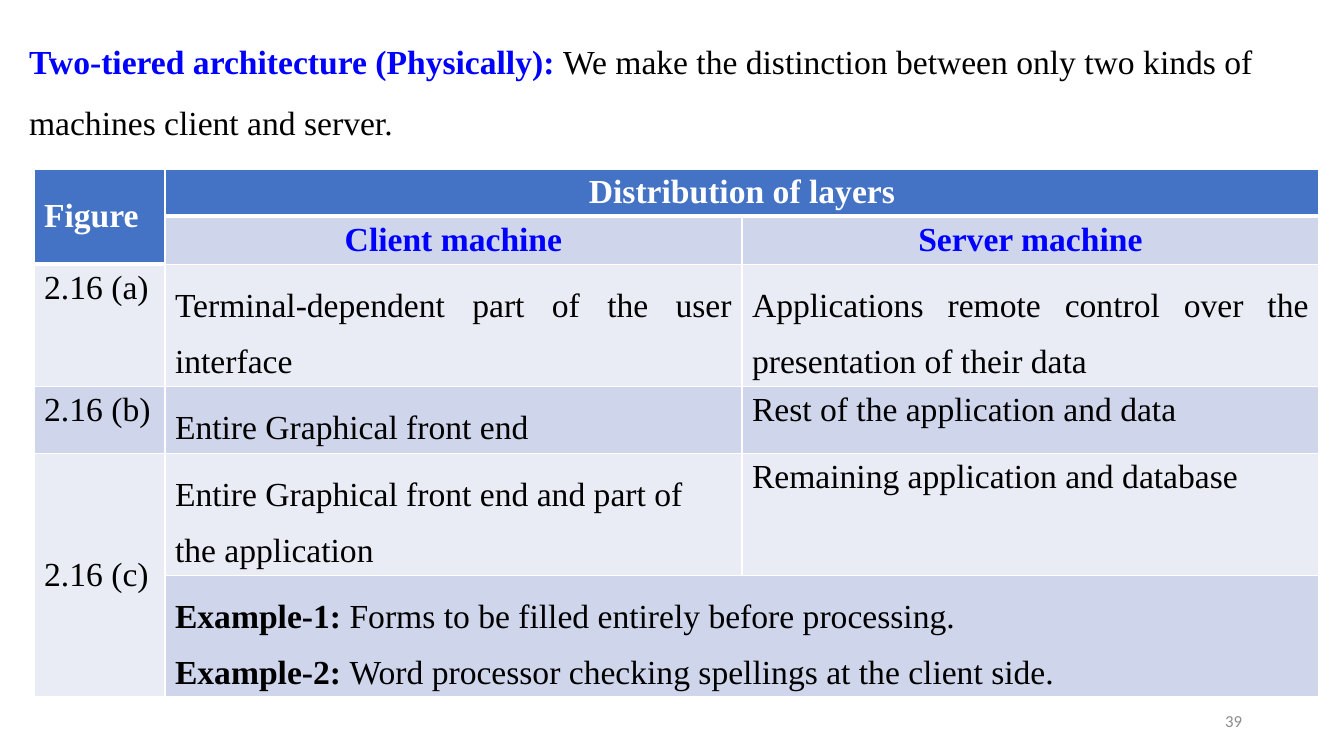
import lxml.etree
import pptx
import pptx.dml.color
import pptx.enum.text
import pptx.oxml.ns
import pptx.util

EMU_PER_PX = 914400 / 100.8
ALIGN = pptx.enum.text.PP_ALIGN
ANCHOR = pptx.enum.text.MSO_ANCHOR
BLACK, WHITE, BLUE = "000000", "FFFFFF", "0000FF"
HEADER, BAND_DARK, BAND_LIGHT = "4472C4", "CFD5EA", "E9EBF5"


def px(length):
    """Turn a length in px into EMU."""
    return pptx.util.Emu(round(length * EMU_PER_PX))


def rgb(colour):
    """Turn a hex string into a colour."""
    return pptx.dml.color.RGBColor.from_string(colour)


class SlideBuilder:
    """Hold the text style and the current slide."""

    def __init__(self, presentation, font="Times New Roman", size=24):
        """Add a title-only slide to the presentation."""
        self.slide = presentation.slides.add_slide(presentation.slide_layouts[5])
        self.font = font
        self.size = size

    def place(self, shape, left, top, width, height):
        """Set the position and size of a shape."""
        shape.left, shape.top = px(left), px(top)
        shape.width, shape.height = px(width), px(height)

    def fill_text(self, frame, paragraphs, align=ALIGN.LEFT, spacing=1.0, font=None, size=None):
        """Fill a text frame with paragraphs of (text, colour, bold) runs."""
        for index, runs in enumerate(paragraphs):
            paragraph = frame.add_paragraph() if index else frame.paragraphs[0]
            paragraph.alignment = align
            paragraph.line_spacing = spacing
            paragraph.font.name = font or self.font
            paragraph.font.size = pptx.util.Pt(size or self.size)
            for text, colour, bold in runs:
                run = paragraph.add_run()
                run.text = text
                run.font.color.rgb = rgb(colour)
                run.font.bold = bold

    def title(self, box, runs):
        """Move, format and fill the title placeholder."""
        shape = self.slide.shapes.title
        self.place(shape, *box)
        frame = shape.text_frame
        frame.word_wrap = True
        frame.auto_size = pptx.enum.text.MSO_AUTO_SIZE.NONE
        frame.vertical_anchor = ANCHOR.TOP
        self.fill_text(frame, [runs], spacing=1.5)

    def text(self, box, runs, align, font, size):
        """Add a vertically centred text box."""
        frame = self.slide.shapes.add_textbox(*map(px, box)).text_frame
        frame.word_wrap = True
        frame.vertical_anchor = ANCHOR.MIDDLE
        self.fill_text(frame, [runs], align, font=font, size=size)

    def table(self, left, top, widths, heights):
        """Add a plain table with the given column widths and row heights."""
        box = (left, top, sum(widths), sum(heights))
        shape = self.slide.shapes.add_table(len(heights), len(widths), *map(px, box))
        table = shape.table
        table.first_row = table.horz_banding = False
        for column, width in zip(table.columns, widths):
            column.width = px(width)
        for row, height in zip(table.rows, heights):
            row.height = px(height)
        return table

    def paint(self, cell, fill, top=1, bottom=1):
        """Give a cell white borders and a solid fill."""
        properties = cell._tc.get_or_add_tcPr()
        for side, points in (("L", 1), ("R", 1), ("T", top), ("B", bottom)):
            line = lxml.etree.SubElement(properties, pptx.oxml.ns.qn(f"a:ln{side}"))
            line.set("w", str(pptx.util.Pt(points)))
            solid = lxml.etree.SubElement(line, pptx.oxml.ns.qn("a:solidFill"))
            lxml.etree.SubElement(solid, pptx.oxml.ns.qn("a:srgbClr")).set("val", WHITE)
        cell.fill.solid()
        cell.fill.fore_color.rgb = rgb(fill)

    def cell(self, cell, paragraphs, align=ALIGN.LEFT, spacing=1.0, anchor=ANCHOR.TOP):
        """Fill a table cell with text."""
        cell.vertical_anchor = anchor
        self.fill_text(cell.text_frame, paragraphs, align, spacing)


def plain(text):
    """Return one black paragraph."""
    return [[(text, BLACK, False)]]


def heading(text, colour):
    """Return one bold paragraph."""
    return [[(text, colour, True)]]


def example(label, text):
    """Return the runs of one example line."""
    return [(label, BLACK, True), (text, BLACK, False)]


def add_layers_table(builder):
    """Add the table that distributes layers over machines."""
    table = builder.table(34, 169, [131, 577, 577], [46, 48, 122, 67, 122, 121])
    fills = [
        [HEADER, HEADER, HEADER],
        [HEADER, BAND_DARK, BAND_DARK],
        [BAND_LIGHT] * 3,
        [BAND_DARK] * 3,
        [BAND_LIGHT] * 3,
        [BAND_LIGHT, BAND_DARK, BAND_DARK],
    ]
    for row, row_fills in enumerate(fills):
        for column, fill in enumerate(row_fills):
            header_end = 1 if column == 0 else 0
            top = 3 if row == header_end + 1 else 1
            bottom = 3 if row == header_end else 1
            builder.paint(table.cell(row, column), fill, top, bottom)
    for start, end in (((0, 0), (1, 0)), ((0, 1), (0, 2)), ((4, 0), (5, 0)), ((5, 1), (5, 2))):
        table.cell(*start).merge(table.cell(*end))

    examples = [
        example("Example-1:", " Forms to be filled entirely before processing."),
        example("Example-2: ", "Word processor checking spellings at the client side."),
    ]
    center, left, justify = ALIGN.CENTER, ALIGN.LEFT, ALIGN.JUSTIFY
    top, middle = ANCHOR.TOP, ANCHOR.MIDDLE
    contents = [
        (0, 0, heading("Figure", WHITE), left, 1.0, middle),
        (0, 1, heading("Distribution of layers", WHITE), center, 1.0, top),
        (1, 1, heading("Client machine", BLUE), center, 1.0, top),
        (1, 2, heading("Server machine", BLUE), center, 1.0, top),
        (2, 0, plain("2.16 (a)"), left, 1.0, top),
        (2, 1, plain("Terminal-dependent part of the user interface"), justify, 1.5, top),
        (2, 2, plain("Applications remote control over the presentation of their data"), justify, 1.5, top),
        (3, 0, plain("2.16 (b)"), left, 1.0, top),
        (3, 1, plain("Entire Graphical front end"), left, 1.5, top),
        (3, 2, plain("Rest of the application and data"), left, 1.0, top),
        (4, 0, plain("2.16 (c)"), left, 1.0, middle),
        (4, 1, plain("Entire Graphical front end and part of the application"), left, 1.5, top),
        (4, 2, plain("Remaining application and database"), left, 1.0, top),
        (5, 1, examples, left, 1.5, top),
    ]
    for row, column, *content in contents:
        builder.cell(table.cell(row, column), *content)


def main():
    """Build and save the slide."""
    presentation = pptx.Presentation()
    presentation.slide_width, presentation.slide_height = px(1344), px(756)
    builder = SlideBuilder(presentation)
    builder.title((19, 16, 1299, 140), [
        ("Two-tiered architecture (Physically): ", BLUE, True),
        ("We make the distinction between only two kinds of machines client and server.", BLACK, False),
    ])
    add_layers_table(builder)
    builder.text((950, 701, 302, 40), [("39", "8C8C8C", False)], ALIGN.RIGHT, "Calibri", 12)
    presentation.save("out.pptx")


if __name__ == "__main__":
    main()
